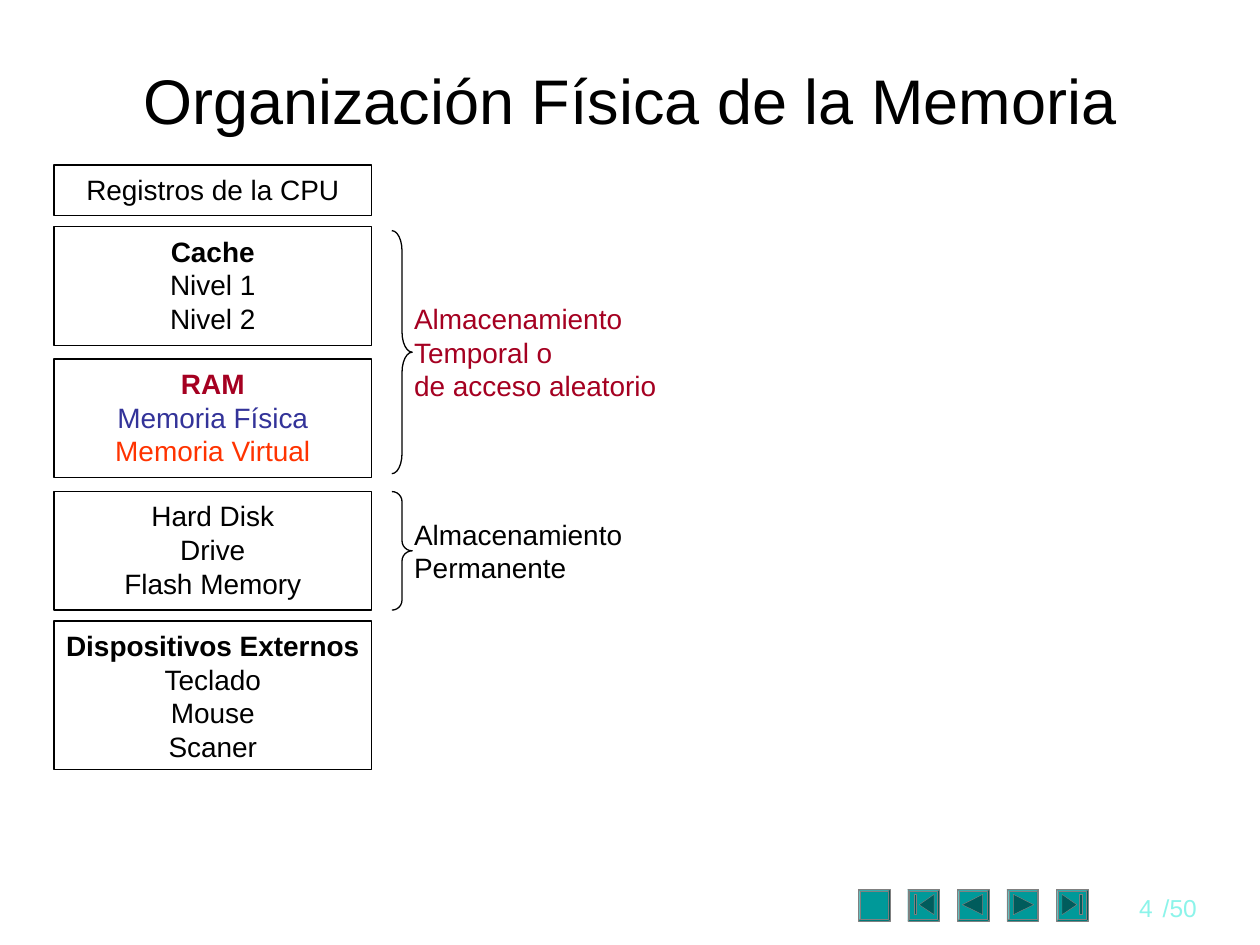
from pptx import Presentation
from pptx.dml.color import RGBColor
from pptx.enum.shapes import MSO_SHAPE as Shape
from pptx.enum.text import MSO_ANCHOR as Anchor, MSO_AUTO_SIZE as AutoSize, PP_ALIGN as Align
from pptx.util import Cm, Pt

BLACK, CRIMSON, BLUE, ORANGE = "000000", "A50021", "333399", "FF3300"
TEAL, DARK_TEAL, GRAY, AQUA = "009999", "005C5C", "808080", "8CF4EA"

# Each level: top, height, lines of (text, colour, bold)
LEVELS = [
    (3.33, 1.02, [("Registros de la CPU", BLACK, False)]),
    (4.57, 2.39, [("Cache", BLACK, True), ("Nivel 1", BLACK, False),
                  ("Nivel 2", BLACK, False)]),
    (7.24, 2.39, [("RAM", CRIMSON, True), ("Memoria Física", BLUE, False),
                  ("Memoria Virtual", ORANGE, False)]),
    (9.91, 2.39, [("Hard Disk", BLACK, False), ("Drive", BLACK, False),
                  ("Flash Memory", BLACK, False)]),
    (12.52, 3.0, [("Dispositivos Externos", BLACK, True), ("Teclado", BLACK, False),
                  ("Mouse", BLACK, False), ("Scaner", BLACK, False)]),
]

BUTTON = 0.64
PREVIOUS = [[(0.1, 0.31), (0.51, 0.1), (0.51, 0.51)]]
FIRST = [[(0.23, 0.31), (0.53, 0.1), (0.53, 0.51)],
         [(0.13, 0.1), (0.18, 0.1), (0.18, 0.51), (0.13, 0.51)]]


def color(value):
    return RGBColor.from_string(value)


def write(frame, lines, size=16, align=Align.LEFT, anchor=Anchor.TOP, inset=0, wrap=False):
    """Fill a text frame with lines of (text, colour, bold)."""
    frame.auto_size = AutoSize.NONE
    frame.word_wrap = wrap
    frame.vertical_anchor = anchor
    frame.margin_left = frame.margin_right = Cm(inset)
    frame.margin_top = frame.margin_bottom = Cm(inset)
    for index, (text, text_color, bold) in enumerate(lines):
        paragraph = frame.add_paragraph() if index else frame.paragraphs[0]
        paragraph.alignment = align
        run = paragraph.add_run()
        run.text = text
        run.font.name = "Arial"
        run.font.size = Pt(size)
        run.font.bold = bold
        run.font.color.rgb = color(text_color)


def add_text(slide, left, top, width, height, lines, **text_format):
    box = slide.shapes.add_textbox(Cm(left), Cm(top), Cm(width), Cm(height))
    write(box.text_frame, lines, **text_format)


def style(shape, fill=None, line=BLACK, weight=0.75):
    shape.shadow.inherit = False
    if fill:
        shape.fill.solid()
        shape.fill.fore_color.rgb = color(fill)
    else:
        shape.fill.background()
    shape.line.color.rgb = color(line)
    shape.line.width = Pt(weight)


def add_shape(slide, kind, left, top, width, height, **look):
    shape = slide.shapes.add_shape(kind, Cm(left), Cm(top), Cm(width), Cm(height))
    style(shape, **look)
    return shape


def add_title(slide, text):
    title = slide.shapes.title
    title.left, title.top, title.width, title.height = Cm(1.27), Cm(1.12), Cm(22.86), Cm(1.75)
    write(title.text_frame, [(text, BLACK, False)], size=36, align=Align.CENTER,
          anchor=Anchor.MIDDLE, inset=0.1, wrap=True)


def add_level(slide, top, height, lines):
    box = add_shape(slide, Shape.RECTANGLE, 1.09, top, 6.4, height)
    write(box.text_frame, lines, align=Align.CENTER, inset=0.15)


def add_brace(slide, top, height, curve, text_color, labels):
    brace = add_shape(slide, Shape.RIGHT_BRACE, 7.9, top, 0.41, height)
    brace.adjustments[0] = curve
    add_text(slide, 8.35, top, 5.2, height, [(label, text_color, False) for label in labels],
             anchor=Anchor.MIDDLE)


def mirror(glyph):
    return [[(BUTTON - x, y) for x, y in outline] for outline in glyph]


def add_button(slide, left, top, glyph):
    bevel = add_shape(slide, Shape.BEVEL, left, top, BUTTON, BUTTON,
                      fill=TEAL, line=GRAY, weight=0.25)
    bevel.adjustments[0] = 0.06
    if not glyph:
        return
    outlines = [[(Cm(left + x), Cm(top + y)) for x, y in outline] for outline in glyph]
    builder = slide.shapes.build_freeform(*outlines[0][0])
    for index, outline in enumerate(outlines):
        if index:
            builder.move_to(*outline[0])
        builder.add_line_segments(outline[1:], close=True)
    style(builder.convert_to_shape(), fill=DARK_TEAL, line=GRAY, weight=0.25)


def main():
    presentation = Presentation()
    presentation.slide_width, presentation.slide_height = Cm(25.4), Cm(19.05)
    slide = presentation.slides.add_slide(presentation.slide_layouts[5])

    for index, glyph in enumerate([None, FIRST, PREVIOUS, mirror(PREVIOUS), mirror(FIRST)]):
        add_button(slide, 17.3 + index * 1.0, 17.93, glyph)
    add_text(slide, 22.12, 17.88, 1.37, 0.84, [("4", AQUA, False)],
             size=14, align=Align.RIGHT, inset=0.25, anchor=Anchor.MIDDLE, wrap=True)
    add_text(slide, 23.19, 17.88, 1.32, 0.84, [("/50", AQUA, False)],
             size=14, inset=0.25, anchor=Anchor.MIDDLE)

    add_title(slide, "Organización Física de la Memoria")
    for level in LEVELS:
        add_level(slide, *level)
    add_brace(slide, 4.65, 4.9, 1.0, CRIMSON,
              ["Almacenamiento", "Temporal o", "de acceso aleatorio"])
    add_brace(slide, 9.91, 2.39, 0.5, BLACK, ["Almacenamiento", "Permanente"])
    presentation.save("out.pptx")


if __name__ == "__main__":
    main()
